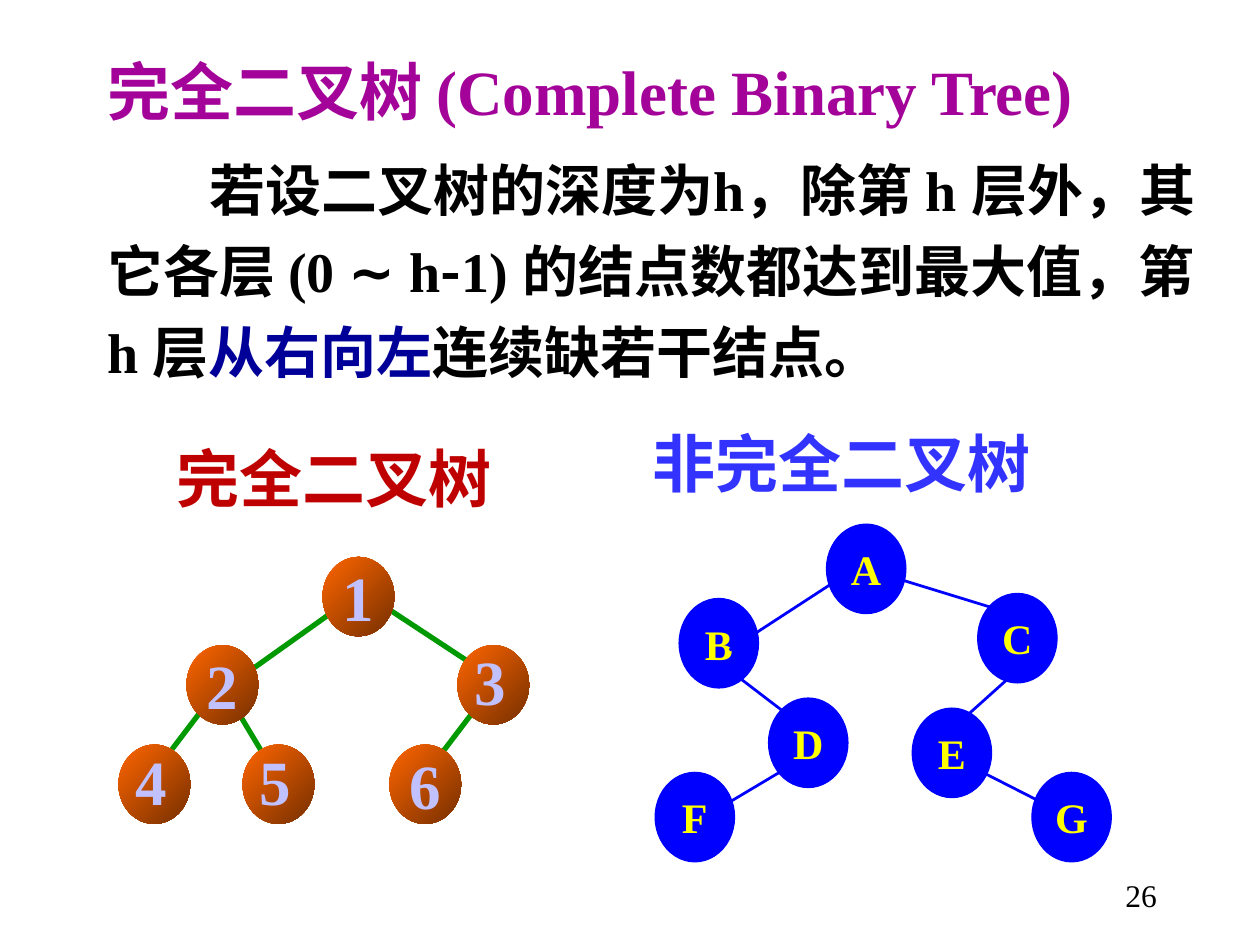
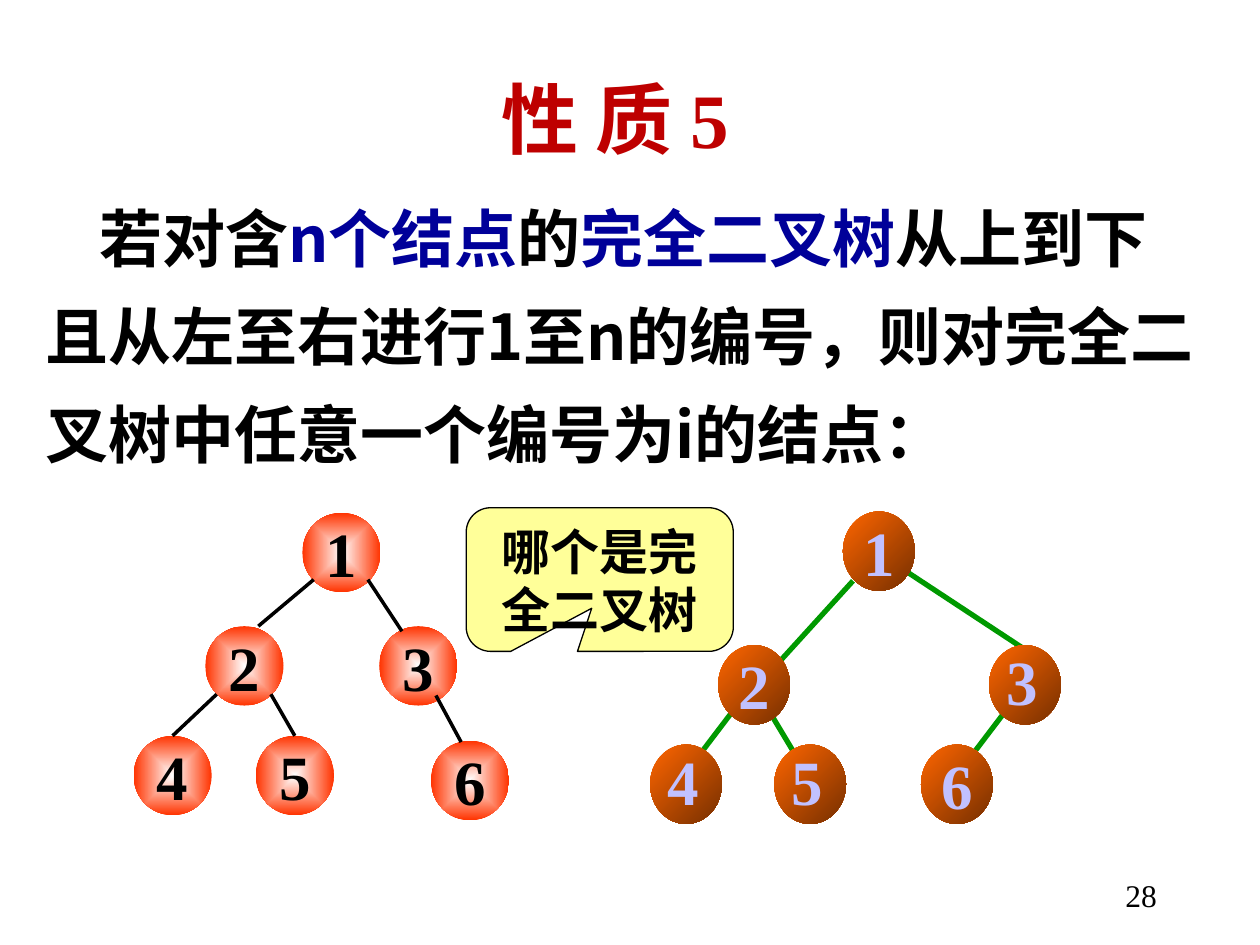
import pptx
import pptx.util
import pptx.dml.color
import pptx.enum.shapes
import pptx.enum.text
import pptx.oxml
import pptx.oxml.ns
from lxml import etree

Inches, Pt = pptx.util.Inches, pptx.util.Pt
RGB = pptx.dml.color.RGBColor.from_string
SHAPE = pptx.enum.shapes.MSO_SHAPE
ALIGN = pptx.enum.text.PP_ALIGN
ANCHOR = pptx.enum.text.MSO_ANCHOR
qn = pptx.oxml.ns.qn

WIDTH, HEIGHT = Inches(10), Inches(7.5)
COLS, ROWS = 100, 75
SERIF, SANS, SYMBOL = "Times New Roman", "Noto Sans CJK SC", "Arial"

C = {
    "purple": "A30398", "red": "BE0000", "violet": "3333FF", "navy": "000099",
    "black": "000000", "white": "FFFFFF", "scarlet": "FF3300", "orange": "FF6600",
    "brown": "762F00", "lilac": "C1C1FF", "green": "009900", "blue": "0000FF",
    "yellow": "FFFF00", "cream": "FFFF99",
}

ORANGE = {"node": (5.7, 6.3), "gradient": ("orange", "brown"), "color": "lilac",
          "size": 36, "edge": "green", "weight": 3, "edges_first": True,
          "loose": "345", "shift": (0.4, -0.7)}
RED = {"node": (6.2, 6.3), "gradient": ("white", "scarlet"), "radial": True,
       "color": "black", "size": 36, "edge": "black", "weight": 2}
BLUE = {"node": (6.3, 7.1), "fill": "blue", "color": "yellow", "size": 24,
        "edge": "blue", "weight": 1.59}

ORANGE_NODES = {"4": (0, 14.9), "5": (9.85, 14.9), "6": (21.5, 14.9),
                "2": (5.4, 7), "3": (26.9, 7)}
ORANGE_EDGES = [(29.9, 10, 24.2, 17.5), (8.1, 10, 12.6, 17.5), (7.5, 11, 1.8, 18.5)]
RED_NODES = {"1": (13.4, 0), "2": (5.7, 9), "3": (19.5, 9),
             "4": (0, 17.7), "5": (9.7, 17.7), "6": (23.6, 18.1)}
RED_EDGES = [(14.3, 5.3, 9.9, 9), (18.6, 5.3, 21.3, 9.4), (6.6, 14.4, 3.1, 17.7),
             (10.9, 14.4, 12.8, 17.7), (24, 14.5, 26, 18.2)]
BLUE_NODES = {"A": (13.6, 0), "B": (1.9, 5.9), "C": (25.6, 5.5), "D": (9, 13.8),
              "E": (20.4, 14.6), "F": (0, 19.7), "G": (29.9, 19.7)}
BLUE_EDGES = [(16.2, 3.3, 5.9, 10), (18.5, 4.1, 29.9, 7.6), (28.3, 12, 24.4, 15.5),
              (5.9, 11.6, 11, 15.5), (25.6, 19.5, 31.1, 22.3), (10.2, 19.5, 5.5, 22.3)]


def grid(col, row, cols, rows):
    """Turn grid columns and rows into slide lengths."""
    x, y = WIDTH / COLS, HEIGHT / ROWS
    return int(col * x), int(row * y), int(cols * x), int(rows * y)


def set_all(obj, values):
    """Set each attribute named in a dict."""
    for name, value in values.items():
        setattr(obj, name, value)


def write(sp, runs, size, align=ALIGN.LEFT, spacing=None, margin=0, indent=0,
          bold=True, wrap=True, anchor=ANCHOR.TOP):
    """Fill a shape with one paragraph of (text, color, font) runs."""
    tf = sp.text_frame
    set_all(tf, {"word_wrap": wrap, "vertical_anchor": anchor,
                 "auto_size": pptx.enum.text.MSO_AUTO_SIZE.NONE,
                 "margin_left": Inches(0.1), "margin_right": Inches(0.1),
                 "margin_top": Inches(0.05), "margin_bottom": Inches(0.05)})
    p = tf.paragraphs[0]
    pPr = p._p.get_or_add_pPr()
    pPr.set("marL", str(Inches(margin)))
    pPr.set("indent", str(Inches(indent)))
    etree.SubElement(pPr, qn("a:buNone"))
    set_all(p, {"alignment": align, "line_spacing": spacing, "space_before": Pt(0)})
    for text, color, font in runs:
        r = p.add_run()
        r.text = text
        set_all(r.font, {"size": Pt(size), "bold": bold, "name": font})
        r.font.color.rgb = RGB(C[color])
        ea = etree.SubElement(r._r.get_or_add_rPr(), qn("a:ea"))
        ea.set("typeface", SANS)


def place(sp, box):
    """Move a placeholder to a grid box."""
    set_all(sp, dict(zip(("left", "top", "width", "height"), grid(*box))))
    return sp


def label(shapes, box, text, color, size, **form):
    """Add a text box at a grid box."""
    write(shapes.add_textbox(*grid(*box)), [(text, color, SERIF)], size, **form)


def paint(sp, style):
    """Give a node its plain or gradient fill."""
    sp.shadow.inherit = False
    if "fill" in style:
        sp.fill.solid()
        sp.fill.fore_color.rgb = RGB(C[style["fill"]])
        sp.line.color.rgb = RGB(C[style["fill"]])
        sp.line.width = Pt(0.75)
        return
    sp.line.fill.background()
    sp.fill.gradient()
    sp.fill.gradient_angle = 315
    for stop, color, position in zip(sp.fill.gradient_stops, style["gradient"], (0, 1)):
        stop.color.rgb = RGB(C[color])
        stop.position = position
    if style.get("radial"):
        lin = sp._element.spPr.find(qn("a:gradFill")).find(qn("a:lin"))
        radial = etree.Element(qn("a:path"), path="rect")
        etree.SubElement(radial, qn("a:fillToRect"), l="50000", t="50000", r="50000", b="50000")
        lin.getparent().replace(lin, radial)


def draw_edges(shapes, col, row, edges, style):
    """Draw tree edges relative to the tree's corner."""
    for x1, y1, x2, y2 in edges:
        ends = grid(col + x1, row + y1, col + x2, row + y2)
        line = shapes.add_connector(pptx.enum.shapes.MSO_CONNECTOR.STRAIGHT, *ends)
        line.line.color.rgb = RGB(C[style["edge"]])
        line.line.width = Pt(style["weight"])
        etree.SubElement(line._element.spPr, qn("a:effectLst"))


def draw_nodes(shapes, col, row, nodes, style):
    """Draw labelled tree nodes relative to the tree's corner."""
    for name, (x, y) in nodes.items():
        sp = shapes.add_shape(SHAPE.OVAL, *grid(col + x, row + y, *style["node"]))
        paint(sp, style)
        if name not in style.get("loose", ""):
            write(sp, [(name, style["color"], SERIF)], style["size"], align=ALIGN.CENTER,
                  wrap=False, anchor=ANCHOR.MIDDLE)
    for name in style.get("loose", ""):
        x, y = nodes[name]
        dx, dy = style["shift"]
        label(shapes, (col + x + dx, row + y + dy, 4.5, 7), name, style["color"],
              style["size"], wrap=False)


def tree(s, corner, nodes, edges, style):
    """Draw a grouped binary tree from its top left corner."""
    shapes = s.shapes.add_group_shape().shapes
    parts = [(draw_nodes, nodes), (draw_edges, edges)]
    if style.get("edges_first"):
        parts.reverse()
    for draw, items in parts:
        draw(shapes, *corner, items, style)


def orange_tree(s, corner, root, root_edges):
    """Draw the numbered orange tree with a given root position."""
    tree(s, corner, {**ORANGE_NODES, "1": root}, root_edges + ORANGE_EDGES, ORANGE)


def callout(s, box, text):
    """Add the question bubble."""
    sp = s.shapes.add_shape(SHAPE.ROUNDED_RECTANGULAR_CALLOUT, *grid(*box))
    for i, value in enumerate((-0.03, 0.2, 0.17)):
        sp.adjustments[i] = value
    sp.shadow.inherit = False
    sp.fill.solid()
    sp.fill.fore_color.rgb = RGB(C["cream"])
    sp.line.color.rgb = RGB(C["black"])
    sp.line.width = Pt(0.75)
    write(sp, [(text, "black", SERIF)], 28, align=ALIGN.CENTER)


def new_slide(prs, number):
    """Add a title and body slide with its page number."""
    s = prs.slides.add_slide(prs.slide_layouts[1])
    label(s.shapes, (72, 69, 20.8, 5), number, "black", 18, align=ALIGN.RIGHT, bold=False)
    return s, s.shapes.title, s.placeholders[1]


def definition_slide(prs):
    """Define the complete binary tree and contrast two trees."""
    s, title, body = new_slide(prs, "26")
    write(place(title, (7.5, 2.5, 89.1, 8.2)),
          [("完全二叉树 (Complete Binary Tree)", "purple", SERIF)], 36, spacing=1.2)
    write(place(body, (7.5, 10.8, 89.1, 20.2)), [
        ("若设二叉树的深度为h，除第 h 层外，其它各层 (0 ", "black", SERIF),
        ("∼", "black", SYMBOL),
        (" h", "black", SERIF),
        ("-", "black", SANS),
        ("1) 的结点数都达到最大值，第 h 层", "black", SERIF),
        ("从右向左", "navy", SERIF),
        ("连续缺若干结点。", "black", SERIF),
    ], 32, spacing=1.2, indent=0.81)
    label(s.shapes, (13, 34.4, 29.5, 7), "完全二叉树", "red", 36)
    label(s.shapes, (50.8, 33.2, 36.2, 7), "非完全二叉树", "violet", 36)
    orange_tree(s, (9.4, 44.2), (16.2, 0), [(19.7, 3, 31.1, 10.5), (19.9, 2.3, 8.1, 10.7)])
    tree(s, (52, 41.6), BLUE_NODES, BLUE_EDGES, BLUE)


def property_slide(prs):
    """State property 5 and ask which tree is complete."""
    s, title, body = new_slide(prs, "28")
    write(place(title, (-1.2, 5.2, 100, 8.4)), [("性 质 5", "red", SERIF)], 44,
          align=ALIGN.CENTER)
    write(place(body, (1.6, 13.5, 95.3, 24.4)), [
        ("若对含", "black", SANS),
        ("n个结点", "navy", SANS),
        ("的", "black", SANS),
        ("完全二叉树", "navy", SANS),
        ("从上到下且从左至右进行1至n的编号，则对完全二叉树中任意一个编号为i的结点：",
         "black", SANS),
    ], 36, spacing=1.3, margin=0.1, indent=0.43)
    orange_tree(s, (51.6, 44.2), (15.3, -3.6), [(20.4, 1.2, 31.8, 8.7), (16.1, 1.9, 8.1, 10.7)])
    tree(s, (10.6, 40.7), RED_NODES, RED_EDGES, RED)
    callout(s, (37, 40.3, 21.2, 11.4), "哪个是完全二叉树")


def main():
    """Build and save the deck."""
    prs = pptx.Presentation()
    set_all(prs, {"slide_width": WIDTH, "slide_height": HEIGHT})
    definition_slide(prs)
    property_slide(prs)
    prs.save("out.pptx")


if __name__ == "__main__":
    main()
